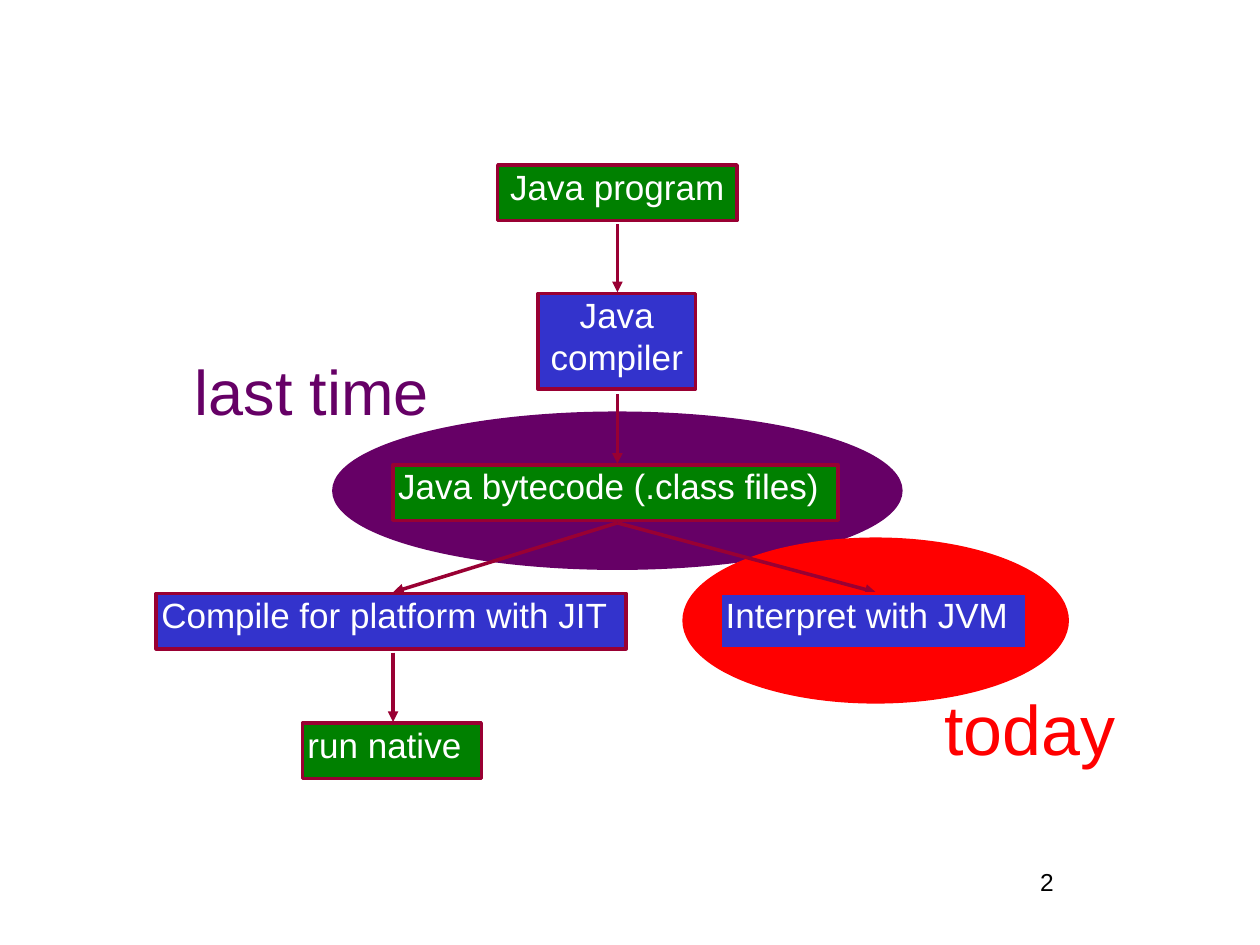
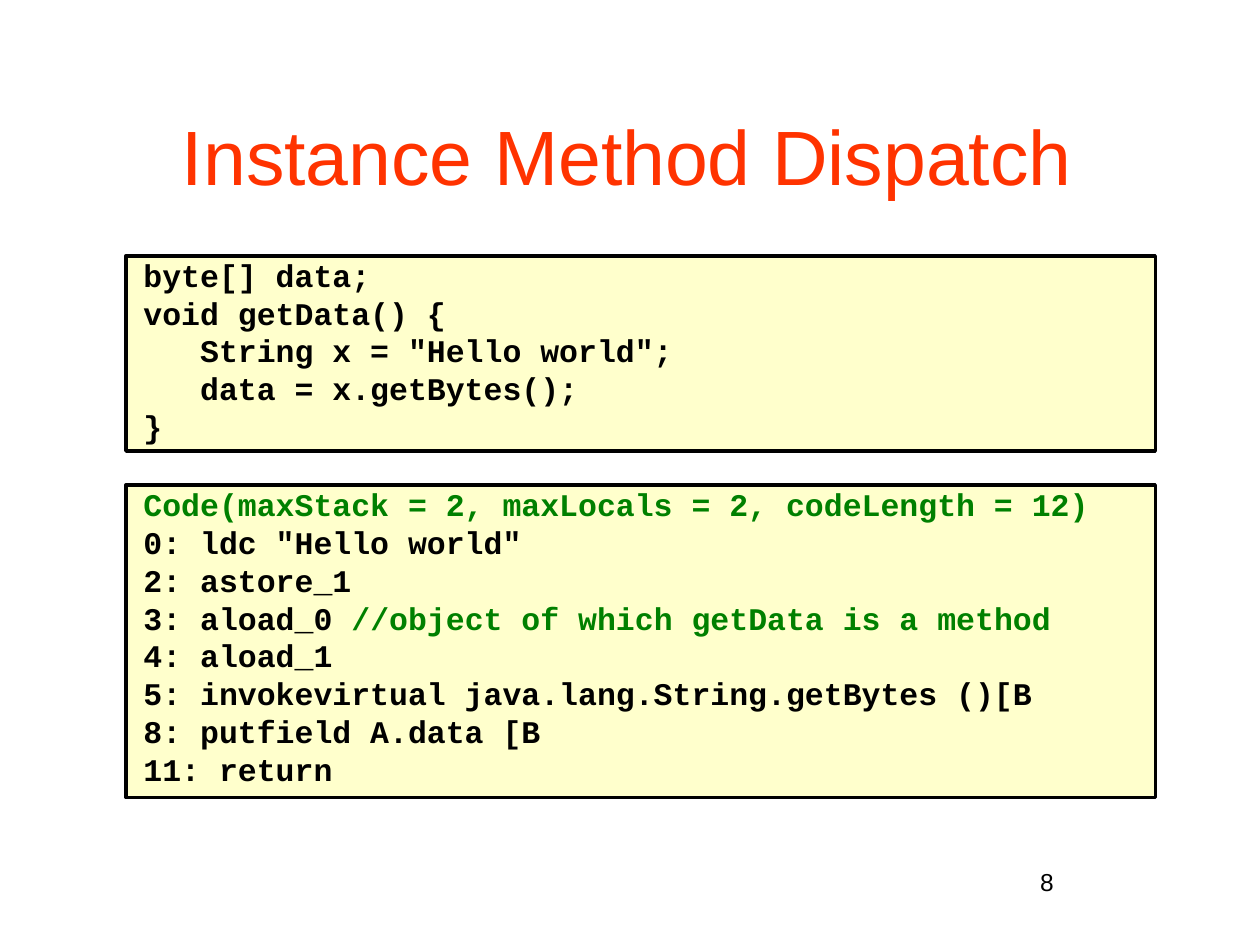
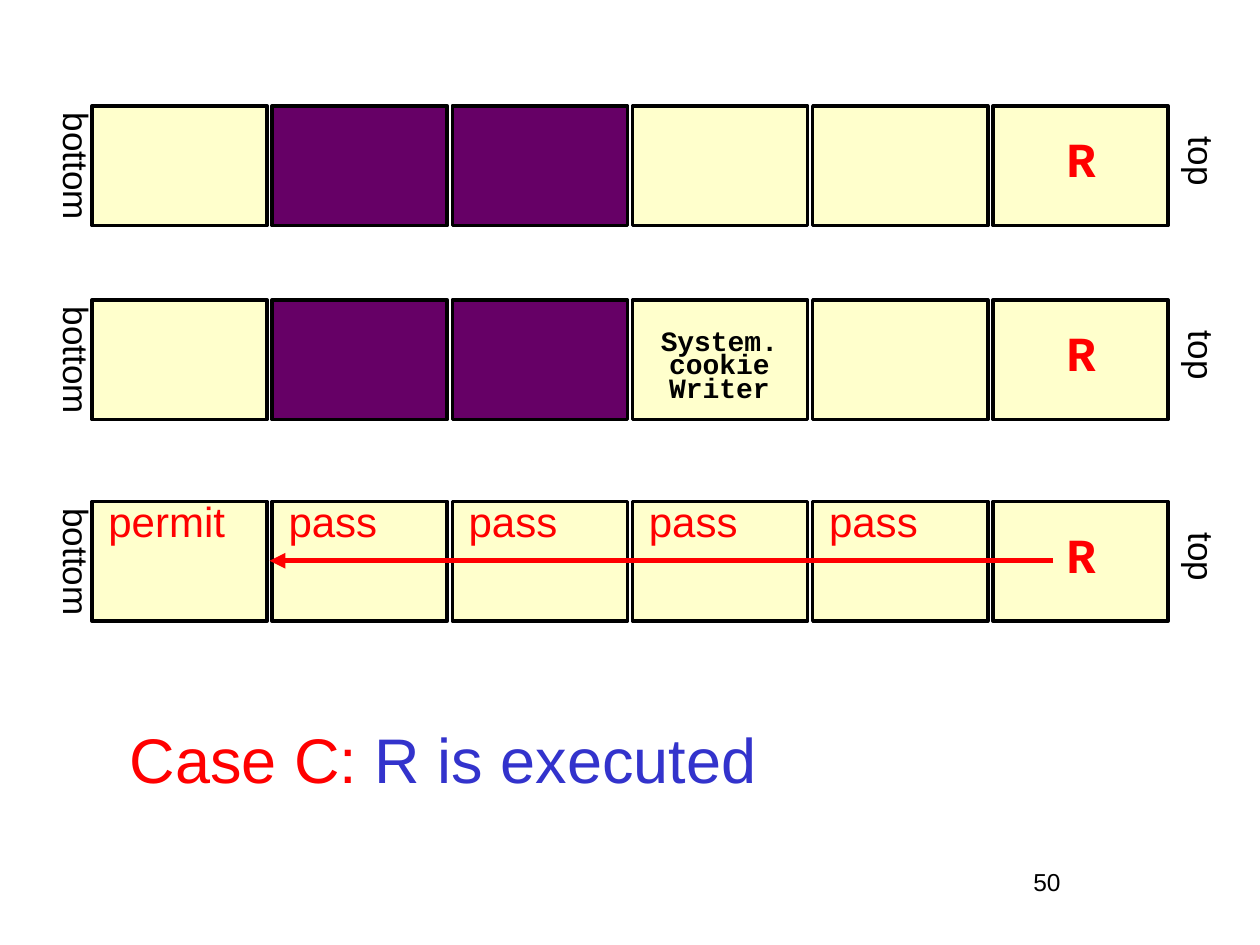
"""Build three slides on Java bytecode, method dispatch and stack inspection."""
from lxml import etree
from pptx import Presentation
from pptx import util as u
from pptx.dml.color import RGBColor
from pptx.enum import shapes, text
from pptx.oxml import ns

I = u.Inches
SANS, MONO = "Arial", "Courier New"
BLACK, WHITE, RED, ORANGE = "000000", "FFFFFF", "FF0000", "FF3300"
GREEN, BLUE, PURPLE, MAROON, CREAM = "008000", "3333CC", "660066", "990033", "FFFFCC"
LEFT, CENTER = text.PP_ALIGN.LEFT, text.PP_ALIGN.CENTER
RECT, OVAL = shapes.MSO_SHAPE.RECTANGLE, shapes.MSO_SHAPE.OVAL


def rgb(value):
    """Turn a hex string into a colour."""
    return RGBColor.from_string(value)


class Deck:
    """Hold the presentation style and the current slide."""

    def __init__(self):
        """Start an empty deck of 10 by 7.5 inches."""
        self.prs = Presentation()
        self.prs.slide_width, self.prs.slide_height = I(10), I(7.5)

    def slide(self, number, title=None):
        """Add a slide with its page number and, if given, its title."""
        self.s = self.prs.slides.add_slide(self.prs.slide_layouts[5 if title else 6])
        if title:
            sp = self.s.shapes.title
            sp.left, sp.top, sp.width, sp.height = I(0.75), I(0.29), I(8.5), I(1.88)
            self.fill_text(sp, [title], 44, ORANGE, CENTER, insets=(0.06, 0.06, 0.14, 0.06))
            sp.text_frame.vertical_anchor = text.MSO_ANCHOR.MIDDLE
        self.label(8.16, 6.88, 0.34, 0.28, [str(number)], 14, BLACK, CENTER, indent=0)

    def fill_text(self, sp, lines, size, color, align=LEFT, font=SANS, bold=False,
                  insets=(0, 0, 0.04, 0), indent=0.04, spacing=None):
        """Fill a shape with lines, each a string or a list of (text, colour) pairs."""
        tf = sp.text_frame
        tf.word_wrap = True
        tf.vertical_anchor = text.MSO_ANCHOR.TOP
        tf.margin_left, tf.margin_top, tf.margin_right, tf.margin_bottom = map(I, insets)
        for i, line in enumerate(lines):
            p = tf.add_paragraph() if i else tf.paragraphs[0]
            p.alignment, p.line_spacing = align, spacing
            p._p.get_or_add_pPr().set("marL", str(I(indent)))
            colors = {}
            if isinstance(line, str):
                p.text = line
            else:
                for part, part_color in line:
                    p.add_run().text = part
                    colors[len(p.runs) - 1] = part_color
            for n, r in enumerate(p.runs):
                r.font.name, r.font.size, r.font.bold = font, u.Pt(size), bold
                r.font.color.rgb = rgb(colors.get(n, color))

    def label(self, x, y, w, h, lines, size, color, align=LEFT, rotation=0, **style):
        """Add a text box."""
        sp = self.s.shapes.add_textbox(I(x), I(y), I(w), I(h))
        sp.rotation = rotation
        self.fill_text(sp, lines, size, color, align, **style)

    def shape(self, kind, x, y, w, h, fill, line):
        """Add a filled and outlined preset shape."""
        sp = self.s.shapes.add_shape(kind, I(x), I(y), I(w), I(h))
        sp.shadow.inherit = False
        sp.fill.solid()
        sp.fill.fore_color.rgb = rgb(fill)
        sp.line.color.rgb, sp.line.width = rgb(line), u.Pt(2)
        return sp

    def node(self, x, y, w, h, lines, fill, align=LEFT, line=MAROON):
        """Add a box of the flow chart."""
        self.fill_text(self.shape(RECT, x, y, w, h, fill, line), lines, 20, WHITE, align)

    def code(self, y, h, lines):
        """Add a code panel, turning leading spaces into an indent."""
        sp = self.shape(RECT, 1, y, 8.17, h, CREAM, BLACK)
        starts = [l if isinstance(l, str) else l[0][0] for l in lines]
        bare = [l.lstrip() if isinstance(l, str) else l for l in lines]
        self.fill_text(sp, bare, 18, BLACK, font=MONO, bold=True, insets=(0.1, 0, 0.04, 0))
        for p, start in zip(sp.text_frame.paragraphs, starts):
            depth = len(start) - len(start.lstrip())
            p._p.get_or_add_pPr().set("marL", str(I(0.04 + 0.15 * depth)))

    def arrow(self, x1, y1, x2, y2, color=MAROON, width=2):
        """Add a straight arrow."""
        c = self.s.shapes.add_connector(shapes.MSO_CONNECTOR.STRAIGHT, I(x1), I(y1), I(x2), I(y2))
        c.line.color.rgb, c.line.width = rgb(color), u.Pt(width)
        etree.SubElement(c.line._get_or_add_ln(), ns.qn("a:tailEnd"), type="triangle")
        etree.SubElement(c._element.spPr, ns.qn("a:effectLst"))

    def stack(self, y, dark=()):
        """Add a call stack of six frames, named at both ends."""
        for i in range(6):
            self.shape(RECT, 0.73 + FRAME_STEP * i, y, 1.39, 0.95,
                       PURPLE if i in dark else CREAM, BLACK)
        self.label(9.22, y + 0.23, 0.56, 0.42, ["top"], 20, BLACK, CENTER, 90)
        self.label(0.06, y + 0.27, 1.02, 0.42, ["bottom"], 20, BLACK, CENTER, 90)
        self.label(8.38, y + 0.18, 0.4, 0.54, ["R"], 28, RED, CENTER, font=MONO, bold=True)


FRAME_STEP = 1.43
deck = Deck()

deck.slide(2)
deck.shape(OVAL, 2.65, 3.28, 4.5, 1.23, PURPLE, PURPLE)
deck.shape(OVAL, 5.43, 4.28, 3.04, 1.29, RED, RED)
deck.node(3.95, 1.31, 1.9, 0.44, ["Java program"], GREEN, CENTER)
deck.node(4.27, 2.33, 1.25, 0.76, ["Java", "compiler"], BLUE, CENTER)
deck.node(3.12, 3.69, 3.53, 0.44, ["Java bytecode (.class files)"], GREEN)
for ends in [(4.9, 1.78, 4.9, 2.32), (4.9, 3.13, 4.9, 3.68), (4.9, 4.15, 6.95, 4.7)]:
    deck.arrow(*ends)
deck.node(5.72, 4.71, 2.43, 0.44, ["Interpret with JVM"], BLUE, line=RED)
deck.node(1.24, 4.71, 3.73, 0.44, ["Compile for platform with JIT"], BLUE)
deck.arrow(4.9, 4.15, 3.12, 4.7)
deck.arrow(3.12, 5.18, 3.12, 5.73)
deck.node(2.4, 5.74, 1.42, 0.44, ["run native"], GREEN)
deck.label(7.41, 5.44, 1.53, 0.72, ["today"], 40, RED, CENTER)
deck.label(1.46, 2.8, 2.03, 0.68, ["last time"], 36, PURPLE, CENTER)

deck.slide(8, "Instance Method Dispatch")
deck.code(2.03, 1.55, [
    "byte[] data;",
    "void getData() {",
    '   String x = "Hello world";',
    "   data = x.getBytes();",
    "}",
])
deck.code(3.85, 2.48, [
    [("Code(maxStack = 2, maxLocals = 2, codeLength = 12)", GREEN)],
    '0: ldc "Hello world"',
    "2: astore_1",
    [("3: aload_0", BLACK), (" //object of which getData is a method", GREEN)],
    "4: aload_1",
    "5: invokevirtual java.lang.String.getBytes ()[B",
    "8: putfield A.data [B",
    "11: return",
])

deck.slide(50)
deck.stack(3.98)
deck.stack(2.38, dark=(1, 2))
deck.label(5.11, 2.64, 1.2, 0.72, ["System.", "cookie\vWriter"], 16, BLACK, CENTER,
           font=MONO, bold=True, spacing=0.7)
deck.stack(0.84, dark=(1, 2))
deck.label(0.99, 5.72, 5.14, 0.68, [[("Case C: ", RED), ("R is executed", BLUE)]], 36, RED)
for i, verdict in enumerate(["permit"] + ["pass"] * 4):
    deck.label(0.82 + FRAME_STEP * i, 3.93, 1.1, 0.49, [verdict], 24, RED)
deck.arrow(8.36, 4.45, 2.14, 4.45, RED, 3)

deck.prs.save("out.pptx")
